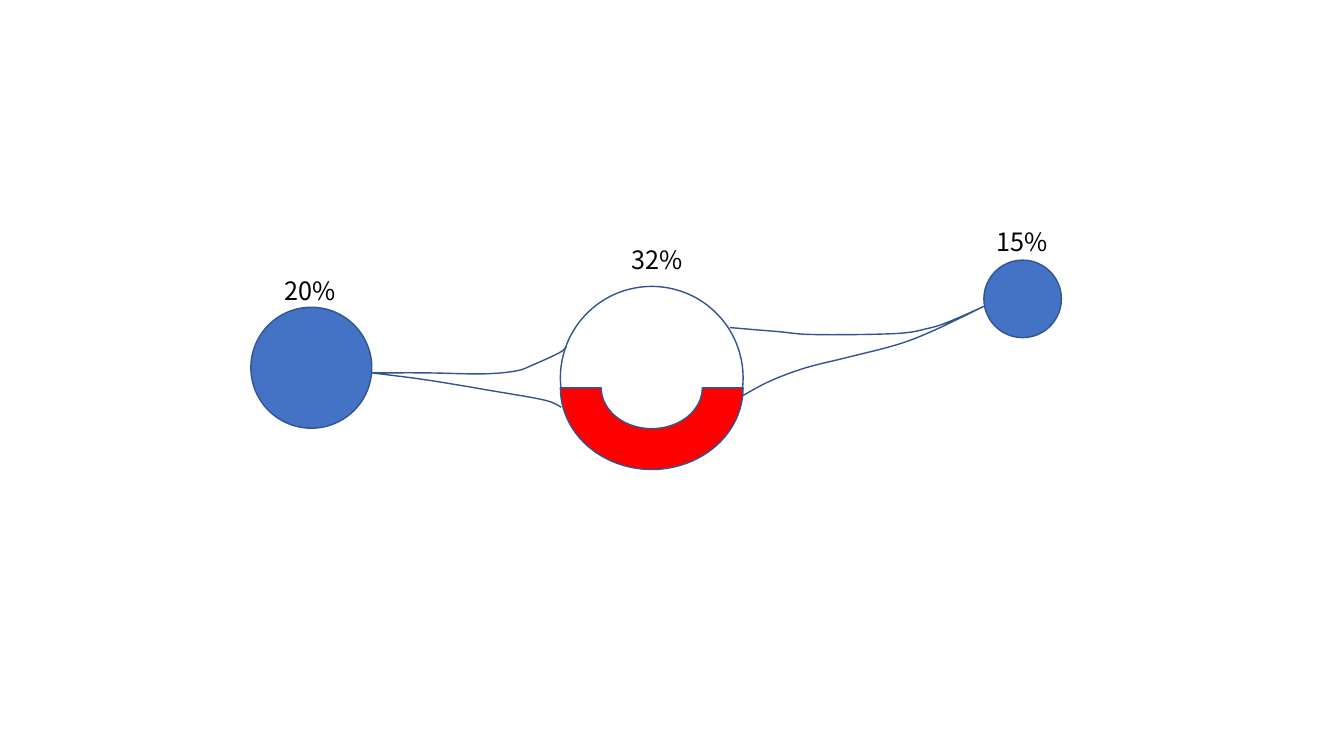
from pptx import Presentation
from pptx.dml.color import RGBColor
from pptx.enum.shapes import MSO_SHAPE
from pptx.enum.text import MSO_AUTO_SIZE, PP_ALIGN
from pptx.util import Pt

OVAL = MSO_SHAPE.OVAL
BLOCK_ARC = MSO_SHAPE.BLOCK_ARC
CENTER = PP_ALIGN.CENTER
GROW = MSO_AUTO_SIZE.SHAPE_TO_FIT_TEXT

FONT = "Noto Sans CJK KR"
BLUE, OUTLINE, RED = "4472C4", "325491", "FF0000"
WHITE, BLACK = "FFFFFF", "000000"
STEPS = 8  # line segments between two neighbouring anchors

# Circles: left, top, diameter, fill
RING_LEFT, RING_SIZE = 400.3, 130.5
CIRCLES = [
    (RING_LEFT, 204.6, RING_SIZE, WHITE),
    (179.2, 219.5, 86.4, BLUE),
    (702.8, 185.8, 55.4, BLUE),
]
ARC_TOP, ARC_HEIGHT = 218.7, 116.6

# Labels: text, left, top, width
LABELS = [
    ("32%", 395.3, 170.9, 147.6),
    ("20%", 172.6, 193.2, 97.9),
    ("15%", 681.1, 158.2, 97.9),
]

# Each strand narrows from the ring to a tip on a blue circle.
# Its two edges are smooth curves through a few anchors, ring side first.
LEFT_TIP, RIGHT_TIP = (265.7, 266.4), (702.7, 218.9)
LEFT_UPPER = [(404.6, 247.7), (399.6, 252), (380.9, 260.6), (368.6, 265),
              (344.9, 267.1), (305.3, 266.4), LEFT_TIP]
LEFT_LOWER = [(401, 290.9), (388.8, 285.8), (352.8, 279.4), (304.6, 271.4),
              LEFT_TIP]
RIGHT_UPPER = [(521.3, 234), (555.8, 236.9), (581.8, 239), (639.4, 238.3),
               (662.4, 234.7), (678.2, 229.7), RIGHT_TIP]
RIGHT_LOWER = [(529.9, 283), (550.1, 272.2), (575.3, 262.8), (604.1, 255.6),
               (640.8, 246.2), (666.7, 236.2), RIGHT_TIP]
STRANDS = [(LEFT_UPPER, LEFT_LOWER), (RIGHT_UPPER, RIGHT_LOWER)]


def color(hex_text):
    return RGBColor.from_string(hex_text)


def spline(before, start, end, after, t):
    """Catmull-Rom value between start and end, for t from 0 to 1."""
    return start + t / 2 * (
        end - before
        + t * (2 * before - 5 * start + 4 * end - after)
        + t * t * (3 * start - before - 3 * end + after)
    )


def smooth_curve(anchors):
    """Points of a smooth curve that passes through every anchor."""
    padded = [anchors[0], *anchors, anchors[-1]]
    points = [anchors[0]]
    for i in range(len(anchors) - 1):
        xs, ys = zip(*padded[i:i + 4])
        for step in range(1, STEPS + 1):
            t = step / STEPS
            points.append((spline(*xs, t), spline(*ys, t)))
    return points


def outline(sp):
    sp.shadow.inherit = False
    sp.line.color.rgb = color(OUTLINE)
    sp.line.width = Pt(1)


def add_filled(s, kind, left, top, width, height, fill):
    sp = s.shapes.add_shape(kind, Pt(left), Pt(top), Pt(width), Pt(height))
    sp.fill.solid()
    sp.fill.fore_color.rgb = color(fill)
    outline(sp)
    return sp


def add_strand(s, upper, lower):
    # Out along the upper edge to the tip, then back along the lower edge
    curve = smooth_curve(upper) + smooth_curve(lower)[::-1]
    points = [(Pt(x), Pt(y)) for x, y in curve]
    builder = s.shapes.build_freeform(*points[0])
    builder.add_line_segments(points[1:], close=False)
    sp = builder.convert_to_shape()
    sp.fill.background()
    outline(sp)


def add_label(s, text, left, top, width):
    tf = s.shapes.add_textbox(Pt(left), Pt(top), Pt(width), Pt(29)).text_frame
    tf.word_wrap = True
    tf.auto_size = GROW
    p = tf.paragraphs[0]
    p.alignment = CENTER
    r = p.add_run()
    r.text = text
    r.font.name = FONT
    r.font.size = Pt(18)
    r.font.color.rgb = color(BLACK)


def main():
    prs = Presentation()
    prs.slide_width, prs.slide_height = Pt(960), Pt(540)
    s = prs.slides.add_slide(prs.slide_layouts[6])

    # Circles
    for left, top, size, fill in CIRCLES:
        add_filled(s, OVAL, left, top, size, size, fill)

    # Red arc, turned to fill the lower half of the ring
    arc = add_filled(s, BLOCK_ARC, RING_LEFT, ARC_TOP, RING_SIZE, ARC_HEIGHT,
                     RED)
    arc.rotation = 180

    # Strands between the circles
    for upper, lower in STRANDS:
        add_strand(s, upper, lower)

    # Percentages
    for label in LABELS:
        add_label(s, *label)

    prs.save("out.pptx")


if __name__ == "__main__":
    main()
